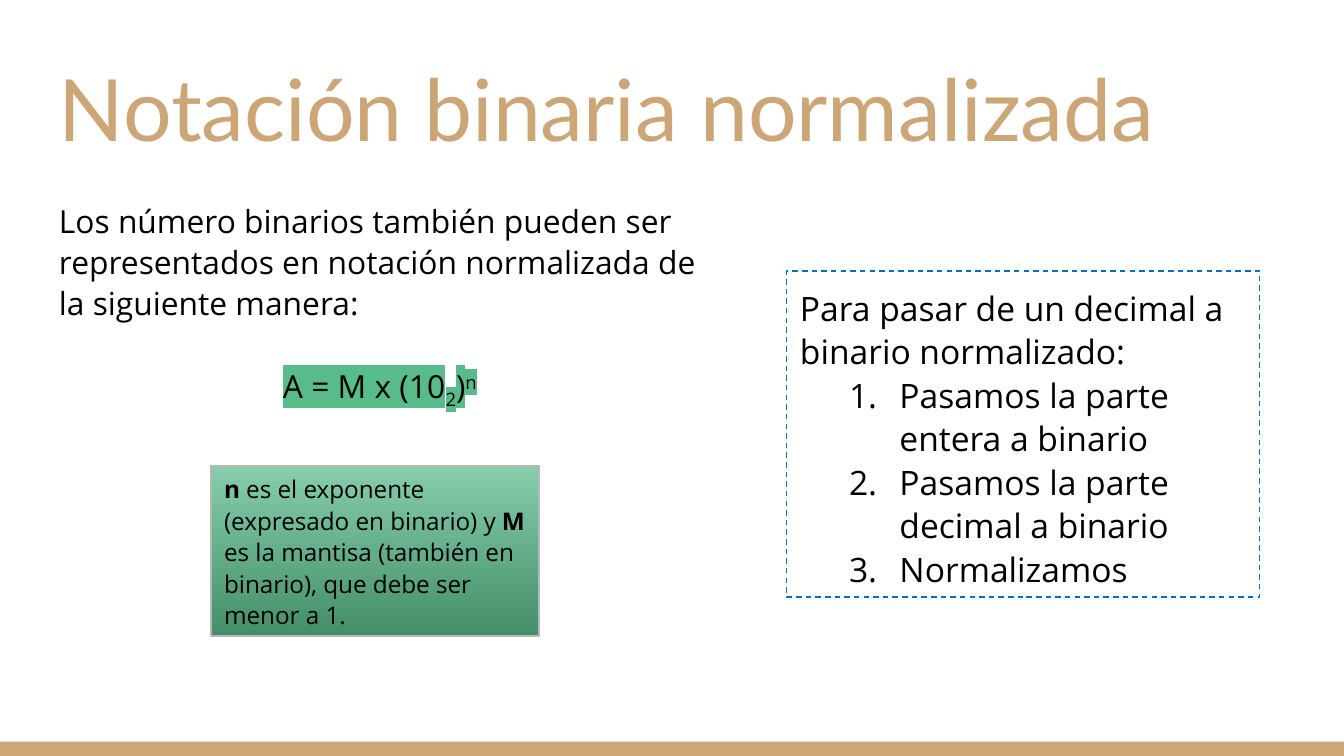
from lxml import etree
from pptx import Presentation
from pptx.dml.color import RGBColor
from pptx.enum.dml import MSO_LINE
from pptx.enum.shapes import MSO_SHAPE
from pptx.enum.text import MSO_ANCHOR, PP_ALIGN
from pptx.oxml.ns import qn
from pptx.util import Pt

RECT, DASH = MSO_SHAPE.RECTANGLE, MSO_LINE.DASH
TOP, MIDDLE, BOTTOM = MSO_ANCHOR.TOP, MSO_ANCHOR.MIDDLE, MSO_ANCHOR.BOTTOM
LEFT, CENTER = PP_ALIGN.LEFT, PP_ALIGN.CENTER

TAN = RGBColor(0xCC, 0xA6, 0x77)
BLACK = RGBColor(0, 0, 0)
BLUE = RGBColor(0x00, 0x70, 0xC0)
GRAY = RGBColor(0xB7, 0xB7, 0xB7)
HIGHLIGHT = RGBColor(0x57, 0xBB, 0x8A)
GREENS = RGBColor(0x86, 0xCE, 0xAB), RGBColor(0x44, 0x8E, 0x6A)

W, H = 720, 405
BAR_H = 7.6
LINE_SPACING = 1.08

TITLE = "Notación binaria normalizada"
INTRO = ("Los número binarios también pueden ser representados "
         "en notación normalizada de la siguiente manera:")
FORMULA = [("A = M x (10", 0), ("2", -25), (")", 0), ("n", 30)]  # text, baseline %
NOTE = [("n", True), (" es el exponente (expresado en binario) y ", False),
        ("M", True),
        (" es la mantisa (también en binario), que debe ser menor a 1.", False)]
STEPS_HEAD = "Para pasar de un decimal a binario normalizado:"
STEPS = ["Pasamos la parte entera a binario",
         "Pasamos la parte decimal a binario",
         "Normalizamos"]


def setup_frame(shape, anchor):
    tf = shape.text_frame
    tf.word_wrap = True
    tf.vertical_anchor = anchor
    tf.margin_left = tf.margin_right = tf.margin_top = tf.margin_bottom = Pt(7.2)
    return tf


def add_box(s, x, y, w, h, anchor=TOP):
    return setup_frame(s.shapes.add_textbox(Pt(x), Pt(y), Pt(w), Pt(h)), anchor)


def add_rect(s, x, y, w, h):
    shape = s.shapes.add_shape(RECT, Pt(x), Pt(y), Pt(w), Pt(h))
    shape.shadow.inherit = False
    return shape


def add_runs(p, texts, size, font="Open Sans", color=BLACK, align=LEFT):
    p.alignment = align
    for text in texts:
        r = p.add_run()
        r.text = text
        r.font.size, r.font.name = Pt(size), font
        r.font.color.rgb = color
    return p.runs


def number(p, indent, hang):
    pPr = p._p.get_or_add_pPr()
    pPr.set("marL", str(Pt(indent)))
    pPr.set("indent", str(-Pt(hang)))
    color = etree.SubElement(pPr, qn("a:buClr"))
    etree.SubElement(color, qn("a:srgbClr"), val=str(BLACK))
    etree.SubElement(pPr, qn("a:buFont"), typeface="Open Sans")
    etree.SubElement(pPr, qn("a:buAutoNum"), type="arabicPeriod")


def highlight(r, color):
    hl = etree.Element(qn("a:highlight"))
    etree.SubElement(hl, qn("a:srgbClr"), val=str(color))
    r.font._element.find(qn("a:solidFill")).addnext(hl)


prs = Presentation()
prs.slide_width, prs.slide_height = Pt(W), Pt(H)
s = prs.slides.add_slide(prs.slide_layouts[6])

bar = add_rect(s, 0, H - BAR_H, W, BAR_H)
bar.fill.solid()
bar.fill.fore_color.rgb = TAN
bar.line.fill.background()

tf = add_box(s, 24.5, 26.6, 671, 65.5, BOTTOM)
add_runs(tf.paragraphs[0], [TITLE], 46, "Lato", TAN)

tf = add_box(s, 24.5, 99.4, 358, 264)
p = tf.paragraphs[0]
p.line_spacing = LINE_SPACING
add_runs(p, [INTRO], 17)
p = tf.add_paragraph()
p.line_spacing = LINE_SPACING
p.space_before = Pt(22)
runs = add_runs(p, [text for text, _ in FORMULA], 17, align=CENTER)
for r, (_, baseline) in zip(runs, FORMULA):
    highlight(r, HIGHLIGHT)
    if baseline:
        r.font._element.set("baseline", str(baseline * 1000))

note = add_rect(s, 113, 249.6, 175.8, 91.2)
note.fill.gradient()
note.fill.gradient_angle = 270
for stop, color, position in zip(note.fill.gradient_stops, GREENS, (0, 1)):
    stop.color.rgb = color
    stop.position = position
note.line.color.rgb = GRAY
note.line.width = Pt(0.75)
p = setup_frame(note, MIDDLE).paragraphs[0]
p.line_spacing = LINE_SPACING
for r, (_, bold) in zip(add_runs(p, [text for text, _ in NOTE], 13), NOTE):
    r.font.bold = bold

steps = add_rect(s, 421.5, 145.2, 253.3, 174.7)
steps.fill.background()
steps.line.color.rgb = BLUE
steps.line.width = Pt(0.75)
steps.line.dash_style = DASH
tf = setup_frame(steps, TOP)
for i, text in enumerate([STEPS_HEAD, *STEPS]):
    p = tf.add_paragraph() if i else tf.paragraphs[0]
    p.line_spacing = LINE_SPACING
    if i:
        number(p, 53.3, 27)
    add_runs(p, [text], 18)

prs.save("out.pptx")
